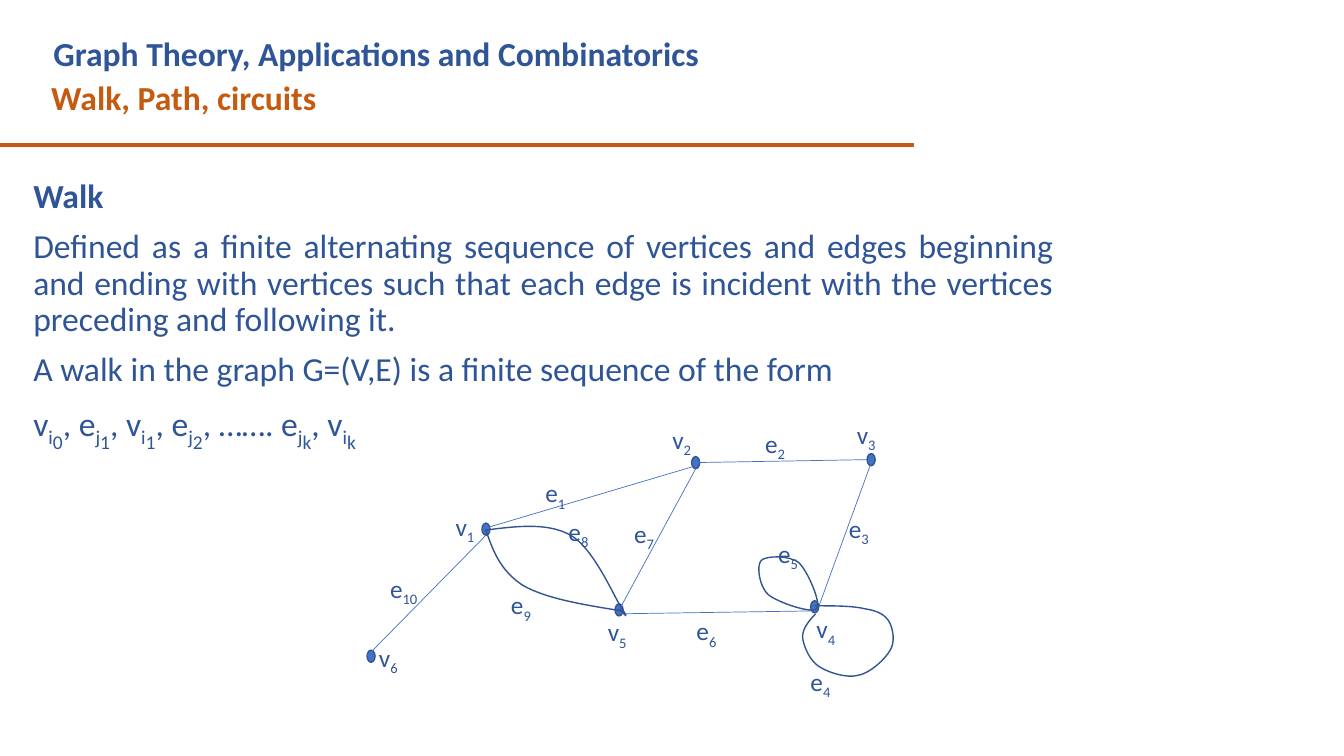
import dataclasses
import typing

import pptx
import pptx.dml.color
import pptx.enum.shapes
import pptx.enum.text
import pptx.oxml
import pptx.oxml.ns
import pptx.util

Inches = pptx.util.Inches
Pt = pptx.util.Pt
Point = typing.Tuple[float, float]
Run = typing.Tuple[str, int]

HUES = {"navy": "2F5597", "rust": "C55A11", "blue": "4472C4", "edge": "325491"}
FONT = "Calibri"
SUB, DEEP = -25, -40  # baseline shift in percent
SPACE = pptx.oxml.ns.nsdecls("a")


@dataclasses.dataclass
class Dot:
    left: float
    top: float


@dataclasses.dataclass
class Edge:
    start: Point
    end: Point


@dataclasses.dataclass
class Curve:
    frame: typing.Tuple[float, float, float, float]
    start: Point
    spans: typing.List[typing.Tuple[Point, Point, Point]]
    closed: bool = False


@dataclasses.dataclass
class Label:
    name: str
    left: float
    top: float


def paint(hue: str) -> pptx.dml.color.RGBColor:
    return pptx.dml.color.RGBColor.from_string(HUES[hue])


def place(shape, left: float, top: float, width: float, height: float) -> None:
    shape.left, shape.top = Inches(left), Inches(top)
    shape.width, shape.height = Inches(width), Inches(height)


def write(para, runs: typing.List[Run], size: float = 24, hue: str = "navy",
          bold: bool = False) -> None:
    for text, shift in runs:
        run = para.add_run()
        run.text = text
        run.font.name, run.font.size, run.font.bold = FONT, Pt(size), bold
        run.font.color.rgb = paint(hue)
        if shift:
            run._r.get_or_add_rPr().set("baseline", str(shift * 1000))


def add_box(shapes, left: float, top: float, width: float, height: float):
    box = shapes.add_textbox(Inches(left), Inches(top), Inches(width), Inches(height))
    box.text_frame.word_wrap = True
    return box.text_frame.paragraphs[0]


def add_line(shapes, edge: Edge, hue: str = "blue", width: float = 0.5) -> None:
    (x1, y1), (x2, y2) = edge.start, edge.end
    line = shapes.add_connector(pptx.enum.shapes.MSO_CONNECTOR.STRAIGHT,
                                Inches(x1), Inches(y1), Inches(x2), Inches(y2))
    line.line.color.rgb, line.line.width = paint(hue), Pt(width)
    line._element.spPr.append(pptx.oxml.parse_xml(f"<a:effectLst {SPACE}/>"))


def add_dot(shapes, dot: Dot) -> None:
    oval = shapes.add_shape(pptx.enum.shapes.MSO_SHAPE.OVAL, Inches(dot.left),
                            Inches(dot.top), Inches(0.08), Inches(0.12))
    oval.shadow.inherit = False
    oval.fill.solid()
    oval.fill.fore_color.rgb = paint("blue")
    oval.line.color.rgb, oval.line.width = paint("edge"), Pt(1)


def add_curve(shapes, curve: Curve) -> None:
    left, top, width, height = curve.frame

    def spot(point: Point) -> str:
        x, y = point
        return f'<a:pt x="{Inches(x - left)}" y="{Inches(y - top)}"/>'

    pen = shapes.build_freeform(*map(Inches, curve.start))
    pen.add_line_segments([tuple(map(Inches, span[-1])) for span in curve.spans],
                          close=curve.closed)
    shape = pen.convert_to_shape()
    place(shape, *curve.frame)
    # Turn each straight piece into a cubic one, measured from the frame
    trace = next(shape._element.iter(pptx.oxml.ns.qn("a:path")))
    trace.set("w", str(Inches(width)))
    trace.set("h", str(Inches(height)))
    move, *pieces = trace[:len(curve.spans) + 1]
    move.replace(move[0], pptx.oxml.parse_xml(
        spot(curve.start).replace("<a:pt", f"<a:pt {SPACE}")))
    for piece, span in zip(pieces, curve.spans):
        inner = "".join(map(spot, span))
        trace.replace(piece, pptx.oxml.parse_xml(
            f"<a:cubicBezTo {SPACE}>{inner}</a:cubicBezTo>"))
    shape.shadow.inherit = False
    shape.fill.background()
    shape.line.color.rgb, shape.line.width = paint("edge"), Pt(1)


# Parts of the graph
DOTS = [Dot(6.86, 4.53), Dot(8.6, 4.5), Dot(6.1, 5.99),
        Dot(8.04, 5.96), Dot(4.78, 5.19), Dot(3.64, 6.45)]
EDGES = [
    Edge((3.64, 6.51), (4.82, 5.31)), Edge((4.78, 5.25), (6.87, 4.63)),
    Edge((6.86, 4.59), (8.6, 4.56)), Edge((8.63, 4.62), (8.12, 6.02)),
    Edge((6.9, 4.65), (6.12, 6.09)), Edge((6.12, 6.09), (8.11, 6.06)),
]
CURVES = [
    Curve((4.81, 5.22, 1.4, 0.89), (4.81, 5.26),
          [((5.12, 5.22), (5.43, 5.18), (5.66, 5.31)),
           ((5.89, 5.44), (6.09, 5.92), (6.17, 6.04)),
           ((6.25, 6.16), (6.2, 6.1), (6.14, 6.04))]),
    Curve((4.82, 5.26, 1.34, 0.81), (4.82, 5.26),
          [((4.89, 5.47), (4.97, 5.67), (5.19, 5.81)),
           ((5.42, 5.94), (5.79, 6), (6.16, 6.06))]),
    Curve((7.52, 5.52, 0.59, 0.53), (8.1, 6.04),
          [((8.05, 6.09), (7.72, 5.98), (7.62, 5.9)),
           ((7.53, 5.82), (7.5, 5.61), (7.55, 5.56)),
           ((7.6, 5.51), (7.83, 5.51), (7.92, 5.58)),
           ((8.01, 5.66), (8.15, 5.99), (8.1, 6.04))], closed=True),
    Curve((7.96, 6.01, 0.9, 0.69), (8.09, 6.09),
          [((8.02, 6.16), (7.96, 6.24), (7.96, 6.32)),
           ((7.97, 6.41), (8.03, 6.55), (8.12, 6.61)),
           ((8.21, 6.67), (8.39, 6.73), (8.51, 6.7)),
           ((8.63, 6.68), (8.78, 6.54), (8.83, 6.45)),
           ((8.88, 6.37), (8.86, 6.24), (8.82, 6.17)),
           ((8.78, 6.1), (8.71, 6.06), (8.58, 6.04)),
           ((8.46, 6.01), (8.27, 6.01), (8.08, 6.01))]),
]
LABELS = [
    Label("v2", 6.57, 4.16), Label("v3", 8.4, 4.11), Label("e2", 7.49, 4.2),
    Label("e4", 7.94, 6.56), Label("v1", 4.42, 5.02), Label("v6", 3.66, 6.32),
    Label("v4", 8, 6.04), Label("v5", 5.93, 6.07), Label("e1", 5.31, 4.69),
    Label("e3", 8.32, 5.04), Label("e5", 7.62, 5.29), Label("e6", 6.81, 6.06),
    Label("e7", 6.19, 5.09), Label("e8", 5.54, 5.07), Label("e9", 4.97, 5.8),
    Label("e10", 3.77, 5.64),
]
# Each term of the walk: base, index, index of the index
TERMS = [("v", "i", "0"), (", e", "j", "1"), (", v", "i", "1"),
         (", e", "j", "2"), (", ……. e", "j", "k"), (", v", "i", "k")]
BODY = [
    [("Walk", 0)],
    [("Defined as a finite alternating sequence of vertices and edges beginning "
      "and ending with vertices such that each edge is incident with the vertices "
      "preceding and following it.", 0)],
    [("A walk in the graph G=(V,E) is a finite sequence of the form", 0)],
    [run for term in TERMS for run in zip(term, (0, SUB, DEEP))],
]


def add_heads(slide) -> None:
    title = slide.shapes.title
    place(title, 0.43, 0.28, 8.2, 0.5)
    frame = title.text_frame
    frame.auto_size = pptx.enum.text.MSO_AUTO_SIZE.NONE
    frame.vertical_anchor = pptx.enum.text.MSO_ANCHOR.TOP
    frame.paragraphs[0].alignment = pptx.enum.text.PP_ALIGN.LEFT
    write(frame.paragraphs[0], [("Graph Theory, Applications and Combinatorics", 0)],
          bold=True)
    # Topic and rule below the title
    write(add_box(slide.shapes, 0.41, 0.71, 8.75, 0.5),
          [("Walk, Path, circuits", 0)], hue="rust", bold=True)
    add_line(slide.shapes, Edge((-0.01, 1.44), (9.07, 1.44)), hue="rust", width=3)


def add_body(slide) -> None:
    body = slide.placeholders[1]
    place(body, 0.23, 1.73, 10.32, 2.88)
    frame = body.text_frame
    frame.auto_size = pptx.enum.text.MSO_AUTO_SIZE.NONE
    for n, runs in enumerate(BODY):
        para = frame.add_paragraph() if n else frame.paragraphs[0]
        props = para._p.get_or_add_pPr()
        props.set("marL", "0")
        props.set("indent", "0")
        props.append(pptx.oxml.parse_xml(f"<a:buNone {SPACE}/>"))
        para.alignment = pptx.enum.text.PP_ALIGN.JUSTIFY
        para.line_spacing = 0.9
        para.space_before = Pt(10 if n else 0)
        write(para, runs, bold=n == 0)


def add_graph(slide) -> None:
    shapes = slide.shapes.add_group_shape().shapes
    for draw, parts in ((add_dot, DOTS), (add_line, EDGES), (add_curve, CURVES)):
        for part in parts:
            draw(shapes, part)
    for label in LABELS:
        write(add_box(shapes, label.left, label.top, 0.66, 0.4),
              [(label.name[0], 0), (label.name[1:], SUB)], size=18)


def main() -> None:
    deck = pptx.Presentation()
    deck.slide_width, deck.slide_height = Inches(13.33), Inches(7.5)
    slide = deck.slides.add_slide(deck.slide_layouts[1])
    add_heads(slide)
    add_body(slide)
    add_graph(slide)
    deck.save("out.pptx")


if __name__ == "__main__":
    main()
